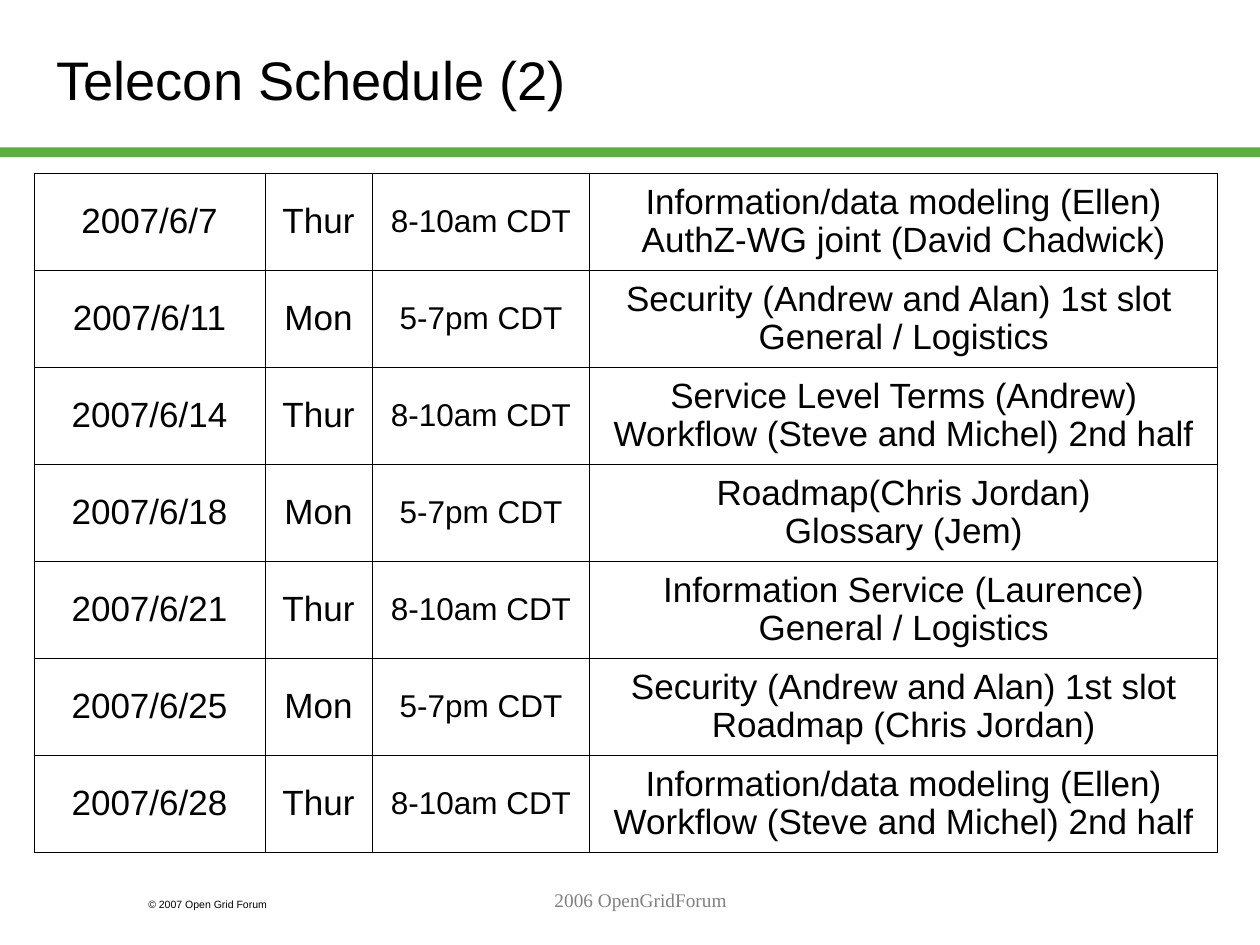
from lxml.etree import SubElement
from pptx import Presentation
from pptx.dml.color import RGBColor as RGB
from pptx.enum.shapes import MSO_SHAPE as SHAPE
from pptx.enum.text import MSO_ANCHOR as ANCHOR, PP_ALIGN as ALIGN
from pptx.oxml.ns import qn
from pptx.util import Cm, Pt

COLORS = {"text": "000000", "rule": "5DAD41", "cell": "FFFFFF",
          "border": "000000", "footer": "808080"}
SANS, SERIF = "Arial", "Times New Roman"
MODELING = "Information/data modeling (Ellen)"
WORKFLOW = "Workflow (Steve and Michel) 2nd half"
LOGISTICS = "General / Logistics"
THURSDAY = ("Thur", "8-10am CDT")
MONDAY = ("Mon", "5-7pm CDT")
SCHEDULE = [
    ("2007/6/7", *THURSDAY, MODELING + "\nAuthZ-WG joint (David Chadwick)"),
    ("2007/6/11", *MONDAY, "Security (Andrew and Alan) 1st slot \n" + LOGISTICS),
    ("2007/6/14", *THURSDAY, "Service Level Terms (Andrew)\n" + WORKFLOW),
    ("2007/6/18", *MONDAY, "Roadmap(Chris Jordan)\nGlossary (Jem)"),
    ("2007/6/21", *THURSDAY, "Information Service (Laurence)\n" + LOGISTICS),
    ("2007/6/25", *MONDAY, "Security (Andrew and Alan) 1st slot\nRoadmap (Chris Jordan)"),
    ("2007/6/28", *THURSDAY, MODELING + "\n" + WORKFLOW),
]
COL_WIDTHS = (4.65, 2.16, 4.39, 12.66)
COL_SIZES = (20, 20, 18, 20)
TIME_COL = 2
FILLED_ROWS = 5


def style_runs(p, size, color="text", font=SANS):
    for r in p.runs:
        r.font.size = Pt(size)
        r.font.name = font
        r.font.color.rgb = RGB.from_string(COLORS[color])


def add_text(s, box, text, size, color="text", font=SANS,
             align=ALIGN.LEFT, anchor=ANCHOR.TOP):
    tf = s.shapes.add_textbox(*map(Cm, box)).text_frame
    tf.word_wrap = True
    tf.vertical_anchor = anchor
    tf.text = text
    p = tf.paragraphs[0]
    p.alignment = align
    style_runs(p, size, color, font)


def add_header(s, box):
    x, y, w, h = box
    add_text(s, (x + 0.89, y + 0.43, w - 2.79, 2.31), "Telecon Schedule (2)",
             31, anchor=ANCHOR.MIDDLE)
    rule = s.shapes.add_shape(SHAPE.RECTANGLE, Cm(x), Cm(y + h - 0.2), Cm(w), Cm(0.2))
    rule.shadow.inherit = False
    rule.fill.solid()
    rule.fill.fore_color.rgb = RGB.from_string(COLORS["rule"])
    rule.line.fill.background()


def add_borders(cell):
    tcPr = cell._tc.get_or_add_tcPr()
    for i, side in enumerate(("a:lnL", "a:lnR", "a:lnT", "a:lnB")):
        ln = tcPr.makeelement(qn(side), {"w": str(Pt(0.45))})
        tcPr.insert(i, ln)
        fill = SubElement(ln, qn("a:solidFill"))
        SubElement(fill, qn("a:srgbClr"), val=COLORS["border"])


def fill_cell(cell, text, size, filled):
    cell.text_frame.text = text
    cell.vertical_anchor = ANCHOR.MIDDLE
    for p in cell.text_frame.paragraphs:
        p.alignment = ALIGN.CENTER
        p.line_spacing = 0.97
        pPr = p._p.get_or_add_pPr()
        pPr.set("marL", str(Cm(0.95)))
        pPr.set("indent", str(-Cm(0.95)))
        style_runs(p, size)
    if filled:
        cell.fill.solid()
        cell.fill.fore_color.rgb = RGB.from_string(COLORS["cell"])
    else:
        cell.fill.background()
    add_borders(cell)


def add_schedule(s, box):
    x, y, w, h = map(Cm, box)
    table = s.shapes.add_table(len(SCHEDULE), len(COL_WIDTHS), x, y, w, h).table
    table.first_row = False
    table.horz_banding = False
    for col, width in zip(table.columns, COL_WIDTHS):
        col.width = Cm(width)
    for i, entry in enumerate(SCHEDULE):
        for j, (text, size) in enumerate(zip(entry, COL_SIZES)):
            filled = i < FILLED_ROWS and j != TIME_COL
            fill_cell(table.cell(i, j), text, size, filled)


def add_footer(s, box):
    x, y, w, h = box
    add_text(s, (x + 2.74, y + 0.2, 3.81, 0.51), "© 2007 Open Grid Forum", 6)
    add_text(s, (x + 5.51, y, 14.81, h), "2006 OpenGridForum", 11,
             "footer", SERIF, ALIGN.CENTER)


def main():
    prs = Presentation()
    prs.slide_width, prs.slide_height = Cm(25.4), Cm(19.05)
    s = prs.slides.add_slide(prs.slide_layouts[6])
    add_header(s, (0, 0, 25.4, 3.17))
    add_schedule(s, (0.69, 3.5, sum(COL_WIDTHS), 13.69))
    add_footer(s, (0, 17.78, 25.4, 1.27))
    prs.save("out.pptx")


if __name__ == "__main__":
    main()
